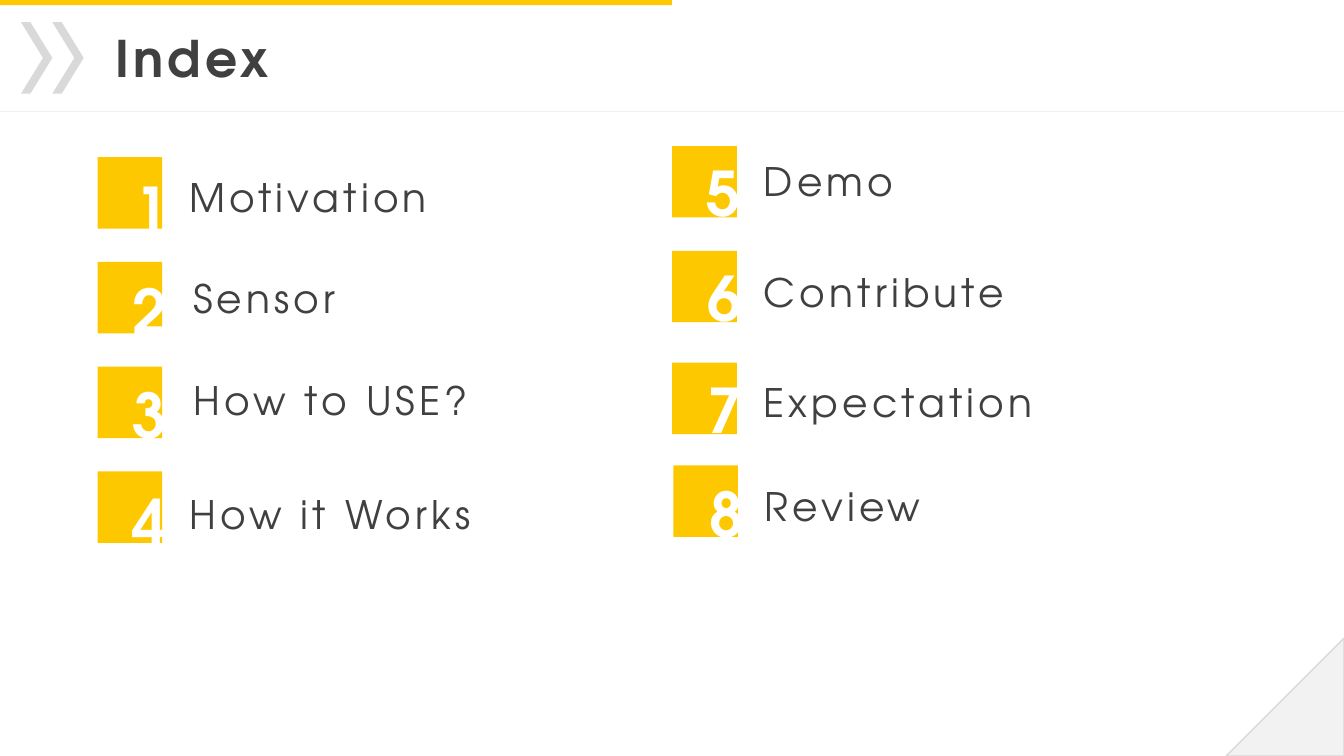
from pptx import Presentation
from pptx.dml.color import RGBColor
from pptx.enum.shapes import MSO_CONNECTOR as Connector, MSO_SHAPE as Shape
from pptx.enum.text import MSO_ANCHOR as Anchor, MSO_AUTO_SIZE as AutoSize, PP_ALIGN as Align
from pptx.oxml.ns import qn
from pptx.util import Cm, Pt
from lxml.etree import SubElement

COLORS = {"accent": "FEC800", "text": "404040", "pale": "F2F2F2",
          "gray": "D9D9D9", "white": "FFFFFF"}
WIDTH, HEIGHT = 33.87, 19.05
SQUARE_W, SQUARE_H = 1.63, 1.8
DIGIT_W, DIGIT_H = 1.4, 2.13
TOPIC_H = 1.45

ENTRIES = [
    ("Motivation", (2.46, 3.96), (4.52, 4.24, 6.73), (3.12, 4.19)),
    ("Sensor", (2.46, 6.6), (4.62, 6.78, 4.24), (3.07, 6.76)),
    ("How to USE?", (2.46, 9.24), (4.62, 9.37, 7.67), (3.07, 9.37)),
    ("How it Works", (2.46, 11.88), (4.52, 12.22, 7.85), (3.05, 12.04)),
    ("Demo", (16.94, 3.68), (19, 3.84, 3.91), (17.53, 3.78)),
    ("Contribute", (16.94, 6.32), (19, 6.63, 6.78), (17.55, 6.43)),
    ("Expectation", (16.94, 9.14), (19, 9.42, 7.49), (17.55, 9.25)),
    ("Review", (16.97, 11.73), (19.02, 12.04, 4.65), (17.6, 11.86)),
]


def rgb(color):
    """Return the named colour."""
    return RGBColor.from_string(COLORS[color])


class IndexSlide:
    """Hold the style and the slide, and draw each kind of element."""

    font = "TeX Gyre Adventor"

    def __init__(self, deck):
        """Add a title-only slide to the deck."""
        self.slide = deck.slides.add_slide(deck.slide_layouts[5])

    def set_text(self, holder, text, size, color, bold=False, align=Align.LEFT, spacing=0):
        """Put one formatted line of text into a text holder."""
        frame = holder.text_frame
        frame_format = {"word_wrap": False, "auto_size": AutoSize.SHAPE_TO_FIT_TEXT,
                        "vertical_anchor": Anchor.TOP}
        for name, value in frame_format.items():
            setattr(frame, name, value)
        line = frame.paragraphs[0]
        line.alignment = align
        run = line.add_run()
        run.text = text
        for name, value in {"name": self.font, "size": Pt(size), "bold": bold}.items():
            setattr(run.font, name, value)
        run.font.color.rgb = rgb(color)
        if spacing:
            run._r.get_or_add_rPr().set("spc", str(spacing * 100))

    def title(self, text, left, top, width, height):
        """Place and format the title."""
        heading = self.slide.shapes.title
        place = {"left": left, "top": top, "width": width, "height": height}
        for name, value in place.items():
            setattr(heading, name, Cm(value))
        self.set_text(heading, text, 36, "text", bold=True, align=Align.RIGHT, spacing=3)

    def label(self, text, left, top, width, height, **style):
        """Add a line of text."""
        box = self.slide.shapes.add_textbox(Cm(left), Cm(top), Cm(width), Cm(height))
        self.set_text(box, text, **style)

    def block(self, kind, left, top, width, height, fill, outline=None):
        """Add a filled preset shape."""
        block = self.slide.shapes.add_shape(kind, Cm(left), Cm(top), Cm(width), Cm(height))
        block.shadow.inherit = False
        block.fill.solid()
        block.fill.fore_color.rgb = rgb(fill)
        if outline:
            block.line.color.rgb = rgb(outline)
            block.line.width = Pt(1)
        else:
            block.line.fill.background()
        return block

    def rule(self, top, color):
        """Add a thin line across the slide."""
        rule = self.slide.shapes.add_connector(
            Connector.STRAIGHT, 0, Cm(top), Cm(WIDTH), Cm(top))
        rule.line.color.rgb = rgb(color)
        rule.line.width = Pt(0.5)
        SubElement(rule._element.spPr, qn("a:effectLst"))

    def entry(self, number, topic, square, topic_place, digit):
        """Add a numbered square with its topic."""
        self.block(Shape.RECTANGLE, *square, SQUARE_W, SQUARE_H, "accent")
        self.label(topic, *topic_place, TOPIC_H, size=28, color="text", spacing=3)
        self.label(str(number), *digit, DIGIT_W, DIGIT_H, size=44, color="white",
                   bold=True, align=Align.RIGHT)


def main():
    """Build the index slide."""
    deck = Presentation()
    deck.slide_width, deck.slide_height = Cm(WIDTH), Cm(HEIGHT)
    index = IndexSlide(deck)

    corner = 2.97
    fold = index.block(Shape.RIGHT_TRIANGLE, WIDTH - corner, HEIGHT - corner,
                       corner, corner, "pale", "gray")
    fold.rotation = 270
    index.block(Shape.RECTANGLE, 0, 0, WIDTH / 2, 0.13, "accent")
    index.title("Index", 2.46, 0.56, 4.57, 1.8)
    index.rule(2.8, "pale")
    for position in range(2):
        chevron = index.block(Shape.CHEVRON, 0.53 + 0.79 * position, 0.56, 0.79, 1.8, "gray")
        chevron.adjustments[0] = 0.7
    for number, entry in enumerate(ENTRIES, 1):
        index.entry(number, *entry)

    deck.save("out.pptx")


if __name__ == "__main__":
    main()
